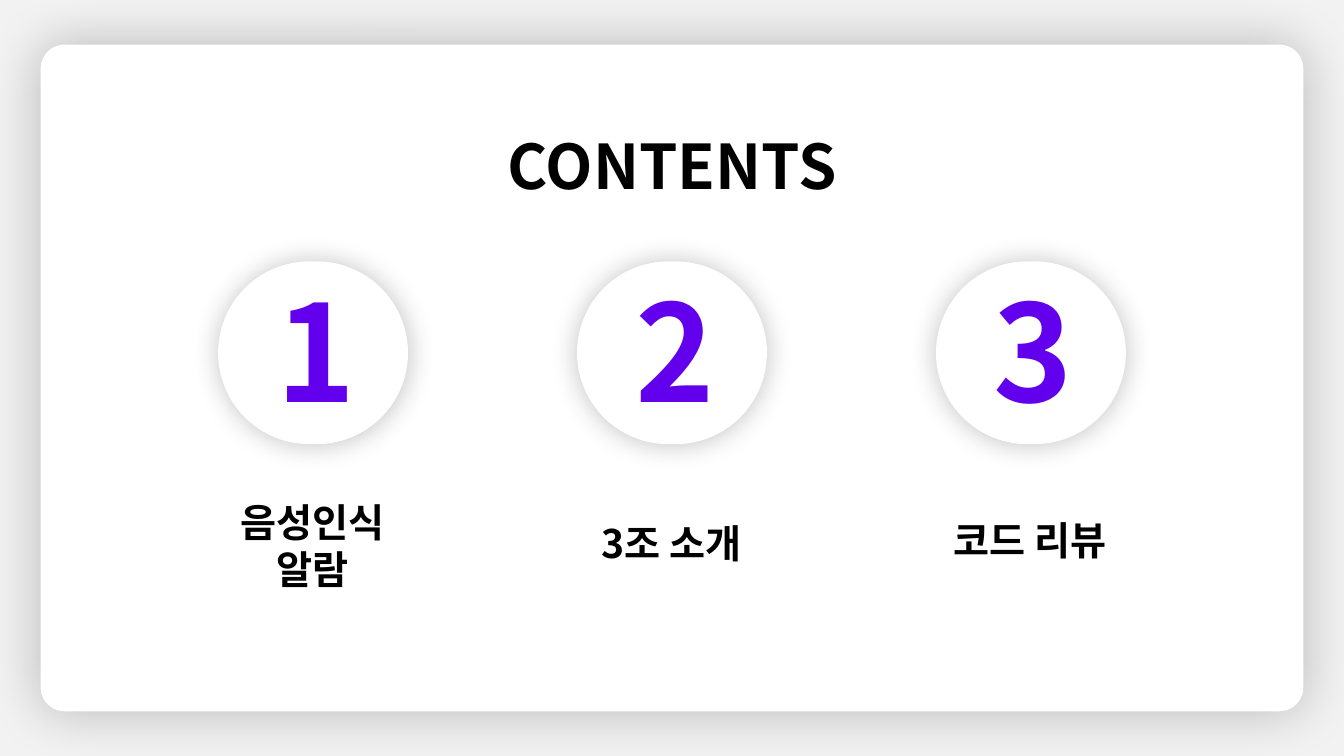
from dataclasses import dataclass

import lxml.etree
import pptx
import pptx.dml.color
import pptx.enum.shapes
import pptx.enum.text
import pptx.oxml.ns
import pptx.util

Inches = pptx.util.Inches
ALIGN = pptx.enum.text.PP_ALIGN
ANCHOR = pptx.enum.text.MSO_ANCHOR
FONT = "Noto Sans CJK KR"
COLORS = {"page": "F2F2F2", "panel": "FFFFFF", "ink": "000000", "accent": "6200EE"}


@dataclass
class Frame:
    left: float
    top: float
    width: float
    height: float

    def lengths(self) -> list[int]:
        return [Inches(n) for n in (self.left, self.top, self.width, self.height)]


@dataclass
class Topic:
    number: str
    label: str
    label_top: float
    label_height: float


TOPICS = [
    Topic("1", "음성인식 알람", 4.89, 1.04),
    Topic("2", "3조 소개", 5.10, 0.57),
    Topic("3", "코드 리뷰", 5.07, 0.57),
]
FIRST_LEFT, PITCH = 2.17, 3.56


def color(name: str) -> pptx.dml.color.RGBColor:
    return pptx.dml.color.RGBColor.from_string(COLORS[name])


def add_panel(page, frame: Frame, rounding: float, blur: float) -> None:
    """Add a white rounded panel with a soft glow of shadow around it."""
    panel = page.shapes.add_shape(
        pptx.enum.shapes.MSO_SHAPE.ROUNDED_RECTANGLE, *frame.lengths())
    panel.adjustments[0] = rounding
    panel.fill.solid()
    panel.fill.fore_color.rgb = color("panel")
    panel.line.color.rgb = color("panel")
    panel.line.width = pptx.util.Pt(1)
    panel.shadow.inherit = False
    qn = pptx.oxml.ns.qn
    effects = panel._element.spPr.find(qn("a:effectLst"))
    shadow = lxml.etree.SubElement(
        effects, qn("a:outerShdw"), blurRad=str(pptx.util.Pt(blur)),
        dist="0", dir="0", algn="ctr", rotWithShape="0")
    tint = lxml.etree.SubElement(shadow, qn("a:srgbClr"), val=COLORS["ink"])
    lxml.etree.SubElement(tint, qn("a:alpha"), val="24000")


def add_text(page, frame: Frame, text: str, size: float, ink: str = "ink",
             align=ALIGN.CENTER, anchor=ANCHOR.TOP, spacing: float = 1.0) -> None:
    box = page.shapes.add_textbox(*frame.lengths())
    box.text_frame.word_wrap = True
    box.text_frame.vertical_anchor = anchor
    para = box.text_frame.paragraphs[0]
    para.text = text
    para.alignment = align
    para.line_spacing = spacing
    font = para.font
    font.name, font.size, font.bold = FONT, pptx.util.Pt(size), True
    font.color.rgb = color(ink)
    # Hangul takes the East Asian typeface
    latin = font._element.find(pptx.oxml.ns.qn("a:latin"))
    latin.addnext(latin.makeelement(pptx.oxml.ns.qn("a:ea"), {"typeface": FONT}))


def main() -> None:
    deck = pptx.Presentation()
    deck.slide_width, deck.slide_height = Inches(13.33), Inches(7.5)
    page = deck.slides.add_slide(deck.slide_layouts[6])
    page.background.fill.solid()
    page.background.fill.fore_color.rgb = color("page")

    # Card and title
    add_panel(page, Frame(0.41, 0.45, 12.51, 6.6), 0.035, 38.5)
    add_text(page, Frame(3.9, 1.15, 5.54, 1.07), "CONTENTS", 44,
             anchor=ANCHOR.MIDDLE, spacing=0.9)

    # Numbered topics
    for index, topic in enumerate(TOPICS):
        left = FIRST_LEFT + index * PITCH
        add_panel(page, Frame(left, 2.6, 1.87, 1.8), 0.5, 20)
        add_text(page, Frame(left + 0.47, 2.79, 0.93, 1.55), topic.number, 96,
                 "accent", ALIGN.LEFT, ANCHOR.MIDDLE, 0.9)
        add_text(page, Frame(left + 0.04, topic.label_top, 1.78, topic.label_height),
                 topic.label, 28)

    deck.save("out.pptx")


if __name__ == "__main__":
    main()
